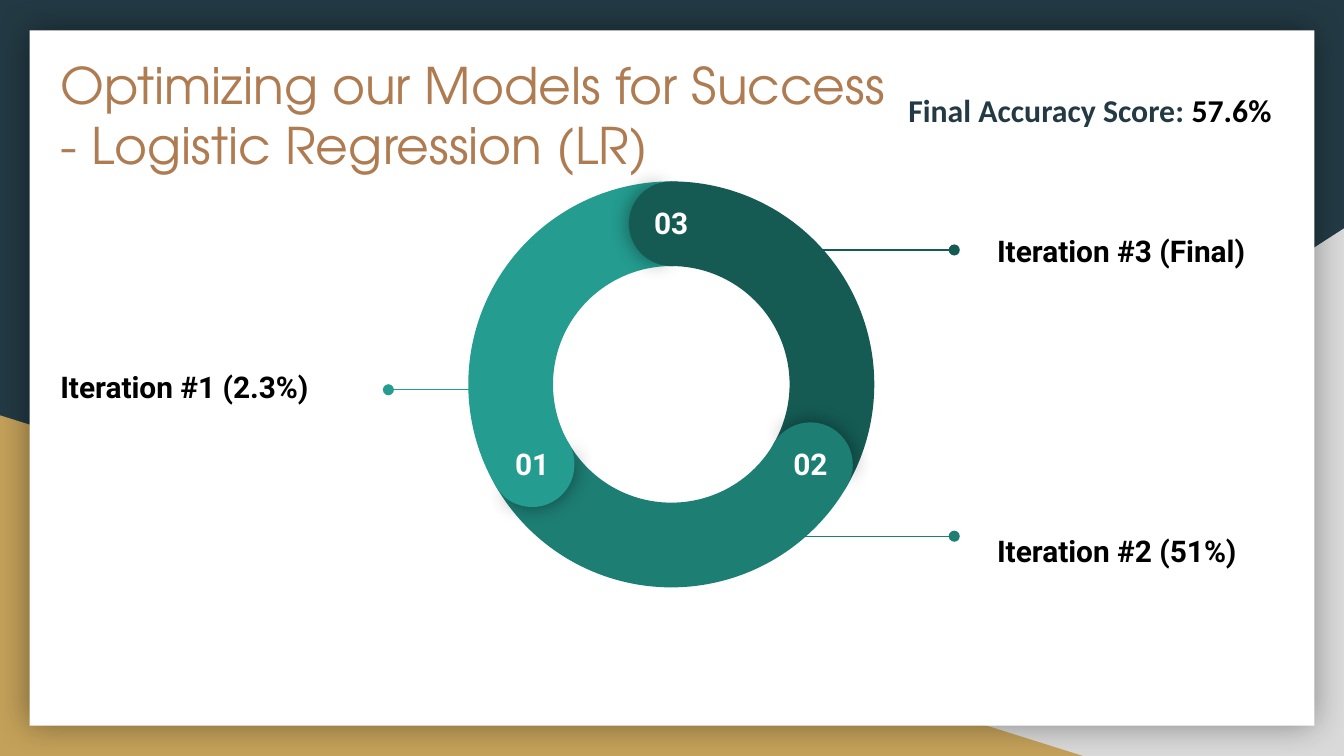
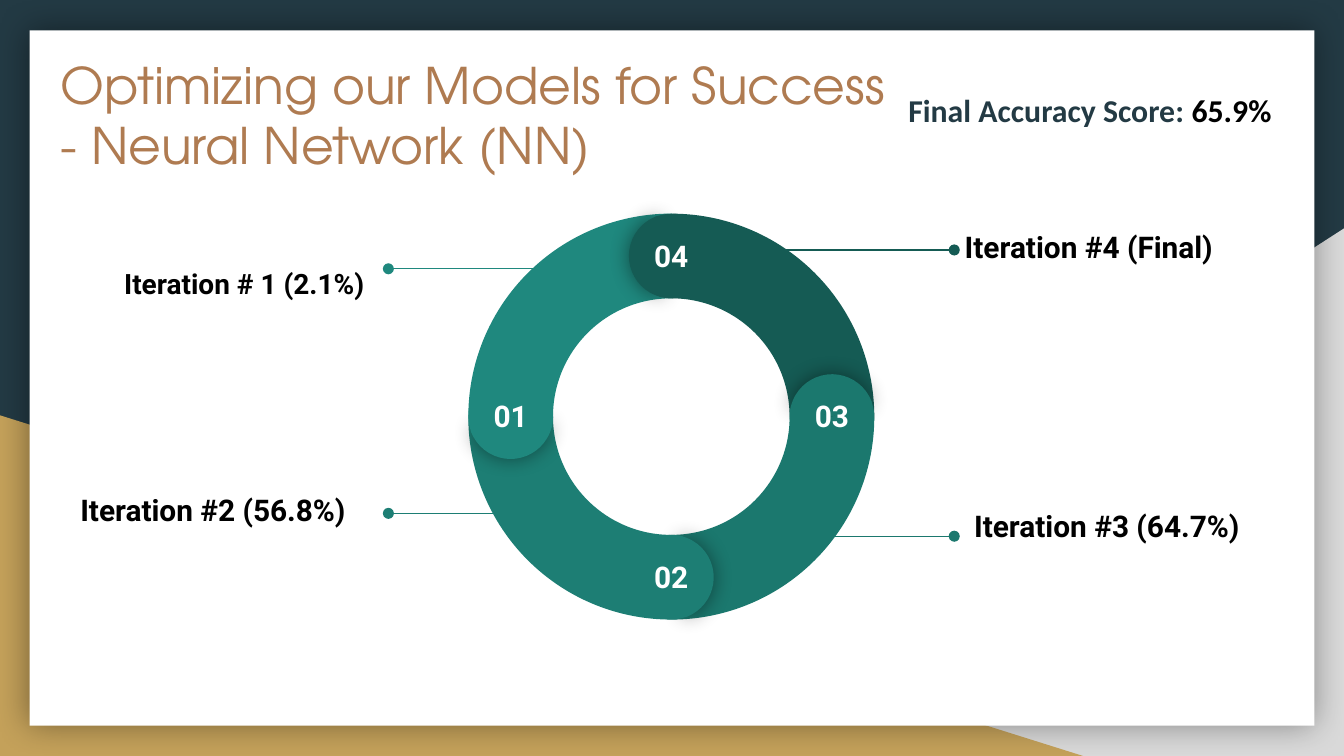
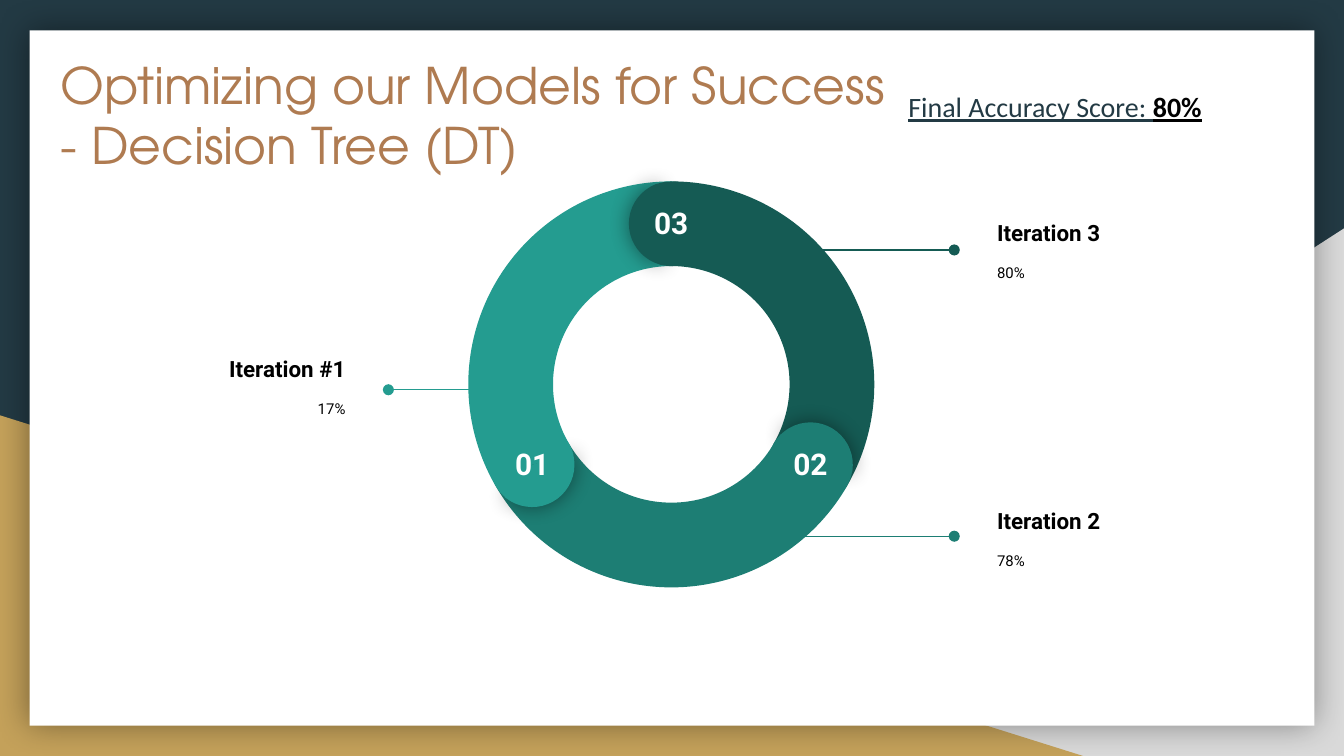
from math import cos, radians, sin

from lxml import etree
from pptx import Presentation
from pptx import util as u
from pptx.dml.color import RGBColor
from pptx.enum import shapes, text
from pptx.oxml.ns import qn

COLOURS = {
    "navy": "233A44", "grey": "D9D9D9", "gold": "C4A15A", "white": "FFFFFF",
    "copper": "AF7B51", "black": "000000", "dark": "155B54", "deep": "1B786E",
    "teal": "1D7E74", "soft": "1F887E", "light": "249C90",
}
COLUMNS, ROWS = 100, 56.25  # square grid cells over the whole slide
LEFT, CENTRE, RIGHT = text.PP_ALIGN.LEFT, text.PP_ALIGN.CENTER, text.PP_ALIGN.RIGHT
TOP, MIDDLE = text.MSO_ANCHOR.TOP, text.MSO_ANCHOR.MIDDLE
SHAPE = shapes.MSO_SHAPE
RING_X, RING_SIZE, BAND = 49.95, 30.2, 6.3
LEFT_DOT, RIGHT_DOT = 28.9, 71


def colour(name):
    return RGBColor.from_string(COLOURS[name])


class Report:
    """Holds the deck, its style and the current page."""

    def __init__(self):
        self.deck = Presentation()
        self.deck.slide_width, self.deck.slide_height = u.Inches(10), u.Inches(5.625)
        self.cell = self.deck.slide_width / COLUMNS
        self.layout = self.deck.slide_layouts[5]
        self.page = None

    def cells(self, *lengths):
        return [u.Emu(round(length * self.cell)) for length in lengths]

    def add_page(self, title):
        first = self.page is None
        self.page = self.deck.slides.add_slide(self.layout)
        if first:
            self.backdrop()
        holder = self.page.shapes.title
        holder.left, holder.top, holder.width, holder.height = self.cells(3.5, 3, 82.1, 10.4)
        self.set_text(holder.text_frame, title, 27, "copper", "TeX Gyre Adventor", bold=False)

    def backdrop(self):
        """Draw the shared background and hand it to the layout."""
        fill = self.layout.background.fill
        fill.solid()
        fill.fore_color.rgb = colour("navy")
        for holder in list(self.layout.placeholders)[1:]:
            holder.element.getparent().remove(holder.element)
        right = self.shape(SHAPE.RIGHT_TRIANGLE, (39.2, 17, 60.8, ROWS - 17), "grey")
        right.element.spPr.find(qn("a:xfrm")).set("flipH", "1")
        left = self.shape(SHAPE.RIGHT_TRIANGLE, (0, 30.9, 80.6, ROWS - 30.9), "gold")
        panel = self.shape(SHAPE.RECTANGLE, (2.2, 2.25, 95.6, 51.75), "white", glow=(18, 40))
        for index, part in enumerate((right, left, panel), start=2):
            self.layout.shapes.element.insert(index, part.element)

    def shape(self, kind, box, fill, turn=0, adjust=(), glow=None):
        """Add a plain shape; glow is the blur in points and opacity in percent."""
        shape = self.page.shapes.add_shape(kind, *self.cells(*box))
        shape.shadow.inherit = False
        shape.fill.solid()
        shape.fill.fore_color.rgb = colour(fill)
        shape.line.fill.background()
        shape.rotation = turn % 360
        for index, value in enumerate(adjust):
            shape.adjustments[index] = value
        if glow:
            blur, opacity = glow
            effects = shape.element.spPr.find(qn("a:effectLst"))
            shadow = etree.SubElement(effects, qn("a:outerShdw"), blurRad=str(u.Pt(blur)),
                                      dist="0", dir="0", algn="ctr", rotWithShape="0")
            tint = etree.SubElement(shadow, qn("a:srgbClr"), val=COLOURS["black"])
            etree.SubElement(tint, qn("a:alpha"), val=str(opacity * 1000))
        return shape

    def set_text(self, frame, lines, size, ink, font="Roboto", bold=True, align=LEFT, anchor=TOP):
        frame.word_wrap = True
        frame.auto_size = text.MSO_AUTO_SIZE.NONE
        frame.vertical_anchor = anchor
        frame.margin_left = frame.margin_right = u.Inches(0.1)
        frame.margin_top = frame.margin_bottom = u.Inches(0.1)
        for index, line in enumerate(lines):
            para = frame.add_paragraph() if index else frame.paragraphs[0]
            para.alignment = align
            para.font.name, para.font.size, para.font.bold = font, u.Pt(size), bold
            para.font.color.rgb = colour(ink)
            para.add_run().text = line
        return frame

    def label(self, box, lines, size=16, ink="black", **style):
        frame = self.page.shapes.add_textbox(*self.cells(*box)).text_frame
        return self.set_text(frame, lines, size, ink, **style)

    def score(self, value, size=17, bold=True, underline=False):
        frame = self.label((66.6, 5.3, 29.9, 5.8), ["Final Accuracy Score: "], size, "navy",
                           font="Calibri", bold=bold)
        para = frame.paragraphs[0]
        para.line_spacing = 1.15
        para.font.underline = underline
        span = para.add_run()
        span.text = value
        span.font.bold = True
        span.font.color.rgb = colour("black")

    def pointer(self, start, end, row, ink):
        ends = self.cells(start, row, end, row)
        pointer = self.page.shapes.add_connector(shapes.MSO_CONNECTOR.STRAIGHT, *ends)
        pointer.line.color.rgb = colour(ink)
        pointer.line.width = u.Pt(0.75)
        properties = pointer.element.spPr
        etree.SubElement(properties.find(qn("a:ln")), qn("a:tailEnd"), type="oval")
        etree.SubElement(properties, qn("a:effectLst"))

    def ring(self, middle, inks):
        """Draw numbered segments; the last number stands at the top."""
        count = len(inks)
        step = 360 / count
        segments = [(count - index, index * step, ink)
                    for index, ink in enumerate(reversed(inks))]
        corner = (RING_X - RING_SIZE / 2, middle - RING_SIZE / 2)
        # Adjustments count angles in units of 1/0.6 degree
        sweep = (210.4 * 0.6, (210.4 + step) * 0.6, BAND / RING_SIZE)
        for _, turn, ink in segments:
            self.shape(SHAPE.BLOCK_ARC, (*corner, RING_SIZE, RING_SIZE), ink, turn + 60, sweep)
        # Round caps: a shadowed half under a plain half
        reach = (RING_SIZE - BAND) / 2
        for number, turn, ink in segments:
            x = RING_X + reach * sin(radians(turn))
            y = middle - reach * cos(radians(turn))
            cap = (x - BAND / 2, y - BAND / 2, BAND, BAND)
            self.shape(SHAPE.PIE, cap, ink, turn + 0.7, (61.9, 149.96), glow=(11.2, 43))
            self.shape(SHAPE.PIE, cap, ink, turn + 180, (40.28, 171.84))
            self.label((x - 2.8, y - 2.4, 5.6, 2.9), [f"{number:02}"], ink="white", align=CENTRE)


def three_step_page(report, title, labels, size=16, first_align=LEFT, second_height=14.1):
    report.add_page(title)
    report.pointer(35.8, LEFT_DOT, 29, "light")
    report.pointer(57, RIGHT_DOT, 39.9, "teal")
    report.pointer(57, RIGHT_DOT, 18.6, "dark")
    report.ring(28.6, ["light", "teal", "dark"])
    boxes = [(3.5, 21.7, 23.2, 14.1), (73.2, 33, 23.2, second_height), (73.2, 11.6, 23.2, 14.1)]
    for box, lines, align in zip(boxes, labels, (first_align, LEFT, LEFT)):
        frame = report.label(box, lines, size, align=align, anchor=MIDDLE)
        for detail in frame.paragraphs[1:]:
            detail.space_before = u.Pt(9.4)
            detail.font.size, detail.font.bold = u.Pt(8), False


def main():
    report = Report()
    heading = "Optimizing our Models for Success"

    # Logistic regression
    three_step_page(report, [heading, "- Logistic Regression (LR)"],
                    [["Iteration #1 (2.3%)"], ["Iteration #2 (51%)"], ["Iteration #3 (Final)"]],
                    second_height=16)
    report.score("57.6%")

    # Neural network
    report.add_page([heading, "- Neural Network (NN)"])
    report.score("65.9%")
    report.pointer(40.3, LEFT_DOT, 20, "soft")
    report.pointer(43.2, LEFT_DOT, 38.2, "teal")
    report.pointer(57, RIGHT_DOT, 39.9, "deep")
    report.pointer(57, RIGHT_DOT, 18.6, "dark")
    report.ring(31, ["soft", "teal", "deep", "dark"])
    report.label((4.9, 14, 23.2, 14.1), ["Iteration # 1 (2.1%)"], 15, align=RIGHT, anchor=MIDDLE)
    report.label((3.5, 30.9, 23.2, 14.1), ["Iteration #2 (56.8%)"], align=RIGHT, anchor=MIDDLE)
    report.label((71.5, 36.8, 25, 8.5), ["Iteration #3 (64.7%)"])
    report.label((70.8, 16, 25.4, 14.1), ["Iteration #4 (Final)"])

    # Decision tree
    three_step_page(report, [heading, "- Decision Tree (DT)"],
                    [["Iteration #1", "17%"], ["Iteration 2", "78%"], ["Iteration 3", "80%"]],
                    size=12, first_align=RIGHT)
    report.score("80%", size=15, bold=False, underline=True)

    report.deck.save("out.pptx")


if __name__ == "__main__":
    main()
